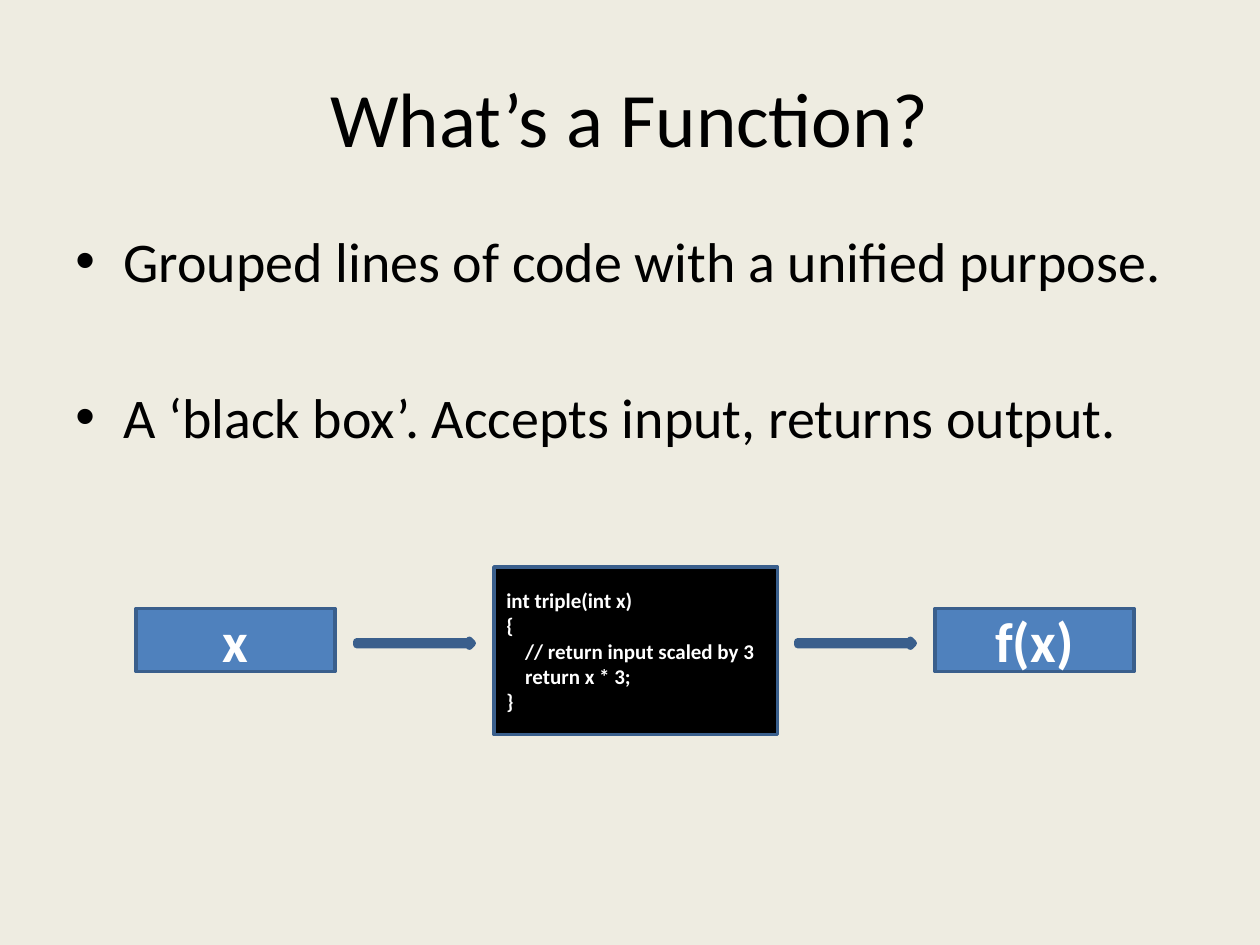
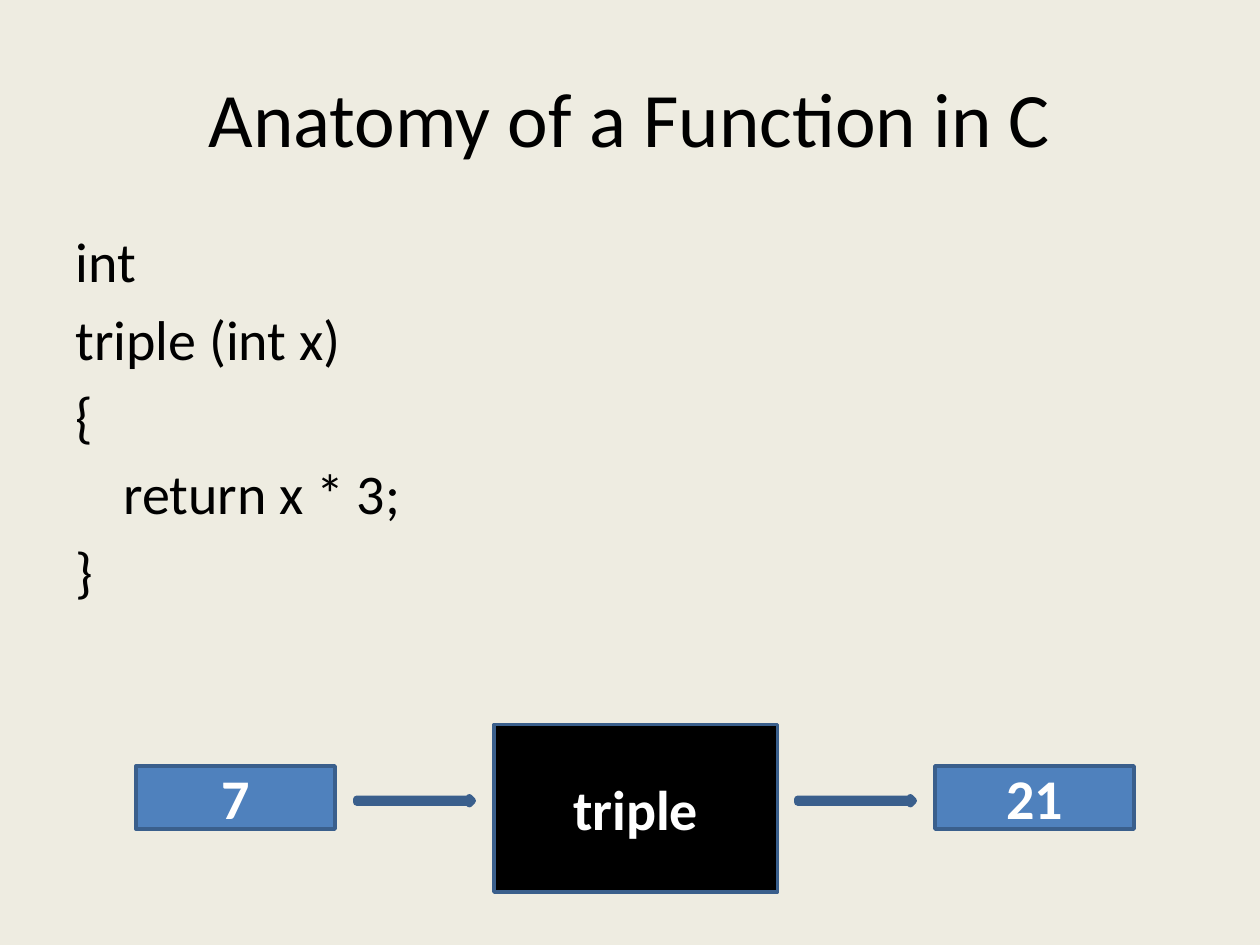
from lxml import etree
from pptx import Presentation
from pptx.dml.color import RGBColor
from pptx.enum.shapes import MSO_SHAPE
from pptx.enum.text import MSO_ANCHOR, PP_ALIGN
from pptx.oxml.ns import qn
from pptx.util import Inches, Pt

RECTANGLE, RIGHT_ARROW = MSO_SHAPE.RECTANGLE, MSO_SHAPE.RIGHT_ARROW
LEFT, CENTER = PP_ALIGN.LEFT, PP_ALIGN.CENTER
MIDDLE = MSO_ANCHOR.MIDDLE

FONT = "Calibri"
CREAM, BLACK, WHITE = "EEECE1", "000000", "FFFFFF"
BLUE, DARK_BLUE = "4F81BD", "3A5F8C"

BODY_SIZE = 32
LINE_GAP = 5.8       # points between body lines
STATEMENT_GAP = 50.7  # points between bullets, one line left free
HANGING = 0.38
CODE_INDENT = 0.15

BOX_WIDTH, BOX_HEIGHT = 2.25, 1.33
VALUE_WIDTH, VALUE_HEIGHT = 1.58, 0.5
ARROW_WIDTH, ARROW_HEIGHT = 0.92, 0.05
INPUT_LEFT, BOX_LEFT, OUTPUT_LEFT = 1.08, 3.92, 7.42
ARROW_LEFTS = (2.83, 6.33)


def color(hex_code):
    return RGBColor.from_string(hex_code)


def style_paragraph(paragraph, size, text_color, bold=False, align=LEFT):
    paragraph.alignment = align
    for run in paragraph.runs:
        run.font.name = FONT
        run.font.size = Pt(size)
        run.font.bold = bold
        run.font.color.rgb = color(text_color)


def indent(paragraph, margin, first_line=0):
    properties = paragraph._p.get_or_add_pPr()
    properties.set("marL", str(Inches(margin)))
    properties.set("indent", str(Inches(first_line)))
    return properties


def add_bullet(paragraph):
    properties = indent(paragraph, HANGING, -HANGING)
    etree.SubElement(properties, qn("a:buFont"), typeface="Arial")
    etree.SubElement(properties, qn("a:buChar"), char="•")


def add_titled_slide(prs, title_text):
    slide = prs.slides.add_slide(prs.slide_layouts[5])
    title = slide.shapes.title
    title.left, title.top = Inches(0.5), Inches(0.3)
    title.width, title.height = Inches(9), Inches(1.25)
    title.text_frame.text = title_text
    title.text_frame.vertical_anchor = MIDDLE
    style_paragraph(title.text_frame.paragraphs[0], 44, BLACK, align=CENTER)
    return slide


def add_body(slide, lines, gap):
    """Add the main text and return its paragraphs."""
    body = slide.shapes.add_textbox(Inches(0.5), Inches(1.75), Inches(9), Inches(4.95))
    frame = body.text_frame
    frame.word_wrap = True
    frame.text = "\n".join(lines)
    for number, paragraph in enumerate(frame.paragraphs):
        style_paragraph(paragraph, BODY_SIZE, BLACK)
        paragraph.space_before = Pt(gap if number else LINE_GAP)
    return frame.paragraphs


def add_block(slide, kind, left, top, width, height, fill, line_width):
    block = slide.shapes.add_shape(
        kind, Inches(left), Inches(top), Inches(width), Inches(height))
    block.shadow.inherit = False
    block.fill.solid()
    block.fill.fore_color.rgb = color(fill)
    block.line.color.rgb = color(DARK_BLUE)
    block.line.width = Pt(line_width)
    return block


def add_label_box(slide, text, left, top, width, height, fill,
                  size=BODY_SIZE, align=CENTER):
    box = add_block(slide, RECTANGLE, left, top, width, height, fill, 2)
    frame = box.text_frame
    frame.word_wrap = True
    frame.vertical_anchor = MIDDLE
    frame.text = text
    for paragraph in frame.paragraphs:
        style_paragraph(paragraph, size, WHITE, True, align)
    return frame.paragraphs


def add_black_box_flow(slide, top, input_text, box_text, output_text, **box_style):
    """Draw input, black box and output in a row; return the box's paragraphs."""
    box_lines = add_label_box(slide, box_text, BOX_LEFT, top,
                              BOX_WIDTH, BOX_HEIGHT, BLACK, **box_style)
    value_top = top + 0.33
    for text, left in ((input_text, INPUT_LEFT), (output_text, OUTPUT_LEFT)):
        add_label_box(slide, text, left, value_top, VALUE_WIDTH, VALUE_HEIGHT, BLUE)
    arrow_top = value_top + VALUE_HEIGHT / 2
    for left in ARROW_LEFTS:
        add_block(slide, RIGHT_ARROW, left, arrow_top,
                  ARROW_WIDTH, ARROW_HEIGHT, BLUE, 4)
    return box_lines


def build_definition_slide(prs):
    slide = add_titled_slide(prs, "What’s a Function?")
    statements = ["Grouped lines of code with a unified purpose.",
                  "A ‘black box’. Accepts input, returns output."]
    for paragraph in add_body(slide, statements, STATEMENT_GAP):
        add_bullet(paragraph)
    code = ["int triple(int x)", "{", "// return input scaled by 3",
            "return x * 3;", "}"]
    code_lines = add_black_box_flow(slide, 4.5, "x", "\n".join(code), "f(x)",
                                    size=12, align=LEFT)
    for statement in code_lines[2:4]:
        indent(statement, CODE_INDENT)


def build_anatomy_slide(prs):
    slide = add_titled_slide(prs, "Anatomy of a Function in C")
    code = ["int", "triple (int x)", "{", "return x * 3;", "}"]
    code_lines = add_body(slide, code, LINE_GAP)
    indent(code_lines[3], HANGING)
    add_black_box_flow(slide, 5.75, "7", "triple", "21")


def main():
    prs = Presentation()
    prs.slide_width, prs.slide_height = Inches(10), Inches(7.5)
    background = prs.slide_master.background.fill
    background.solid()
    background.fore_color.rgb = color(CREAM)
    build_definition_slide(prs)
    build_anatomy_slide(prs)
    prs.save("out.pptx")


if __name__ == "__main__":
    main()
